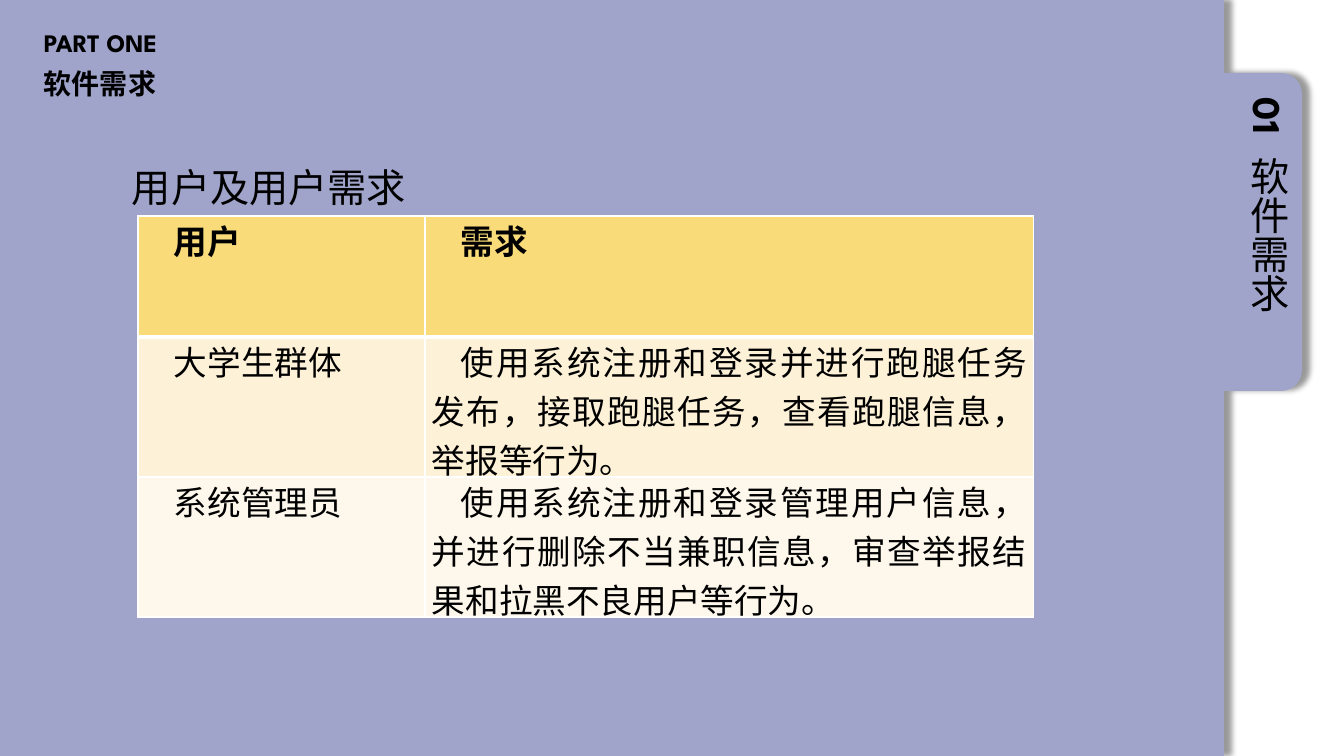
from math import cos, radians, sin

from lxml import etree
from pptx import Presentation
from pptx.dml.color import RGBColor
from pptx.enum.text import PP_ALIGN
from pptx.oxml import parse_xml
from pptx.oxml.ns import nsdecls, qn
from pptx.util import Pt

PX = 914400 / 100.8
JUSTIFY = PP_ALIGN.JUSTIFY
CJK, LATIN = "Noto Sans CJK SC", "League Spartan"


def px(*lengths):
    return [round(length * PX) for length in lengths]


def write(paragraph, text, font, **formats):
    """Add a black run whose East Asian typeface matches its Latin one."""
    run = paragraph.add_run()
    run.text = text
    run.font.name = font
    run.font.color.rgb = RGBColor.from_string("000000")
    for key, value in formats.items():
        setattr(run.font, key, value)
    etree.SubElement(run.font._element, qn("a:ea"), typeface=font)


prs = Presentation()
prs.slide_width, prs.slide_height = px(1344, 756)
slide = prs.slides.add_slide(prs.slide_layouts[6])
shapes = slide.shapes

# Page panel with a rounded tab on its right side
PAGE_RIGHT, TAB_RIGHT, TAB_TOP, TAB_BOTTOM, RADIUS = 1224, 1302, 73, 391, 21
outline = [(PAGE_RIGHT, 0), (PAGE_RIGHT, TAB_TOP)]
for centre_y, start in ((TAB_TOP + RADIUS, -90), (TAB_BOTTOM - RADIUS, 0)):
    for angle in range(start, start + 91, 9):
        outline.append((TAB_RIGHT - RADIUS + RADIUS * cos(radians(angle)),
                        centre_y + RADIUS * sin(radians(angle))))
outline += [(PAGE_RIGHT, TAB_BOTTOM), (PAGE_RIGHT, 756), (0, 756)]
builder = shapes.build_freeform(0, 0, scale=1.0)
builder.add_line_segments([px(*point) for point in outline], close=True)
panel = builder.convert_to_shape()
panel.fill.solid()
panel.fill.fore_color.rgb = RGBColor.from_string("A0A4CA")
panel.line.fill.background()
panel._element.spPr.append(parse_xml(
    f'<a:effectLst {nsdecls("a")}>'
    f'<a:outerShdw blurRad="{Pt(4)}" dist="{Pt(6)}" dir="0" algn="l" rotWithShape="0">'
    '<a:srgbClr val="000000"><a:alpha val="40000"/></a:srgbClr>'
    '</a:outerShdw></a:effectLst>'))

# Tab label, page heading and table title
labels = [
    ("软件需求", (1226, 147, 66, 240), CJK, 28, False, True, 0.9),
    ("01", (1226, 88, 66, 59), LATIN, 28, True, True, 0.9),
    ("PART ONE", (34, 26, 434, 39), LATIN, 18, True, False, 0.9),
    ("软件需求", (34, 65, 434, 39), CJK, 20, True, False, 0.9),
    ("用户及用户需求", (122, 158, 347, 57), CJK, 28, False, False, 1.0),
]
for text, place, font, size, bold, vertical, spacing in labels:
    frame = shapes.add_textbox(*px(*place)).text_frame
    frame.word_wrap = True
    if vertical:
        frame._txBody.bodyPr.set("vert", "eaVert")
    paragraph = frame.paragraphs[0]
    paragraph.line_spacing = spacing
    write(paragraph, text, font, size=Pt(size), bold=bold)

# Users and what they need
needs = [
    ("用户", "需求"),
    ("大学生群体", "使用系统注册和登录并进行跑腿任务发布，接取跑腿任务，查看跑腿信息，举报等行为。"),
    ("系统管理员", "使用系统注册和登录管理用户信息，并进行删除不当兼职信息，审查举报结果和拉黑不良用户等行为。"),
]
row_fills = ["F9DB7A", "FDF1D7", "FEF8EC"]
row_heights = px(121, 140, 140)
column_widths = px(287, 609)
table = shapes.add_table(3, 2, *px(138, 216, 896, 401)).table
table.horz_banding = False
for column, width in zip(table.columns, column_widths):
    column.width = width
cell_margins = dict(zip(("margin_left", "margin_right", "margin_top", "margin_bottom"),
                        px(7, 7, 0, 0)))
first_line_indent, = px(29)

for r, texts in enumerate(needs):
    table.rows[r].height = row_heights[r]
    borders = {"L": 1, "R": 1, "T": 3 if r == 1 else 1, "B": 3 if r == 0 else 1}
    for c, text in enumerate(texts):
        cell = table.cell(r, c)
        for key, value in cell_margins.items():
            setattr(cell, key, value)
        paragraph = cell.text_frame.paragraphs[0]
        paragraph.alignment = JUSTIFY
        pPr = paragraph._p.get_or_add_pPr()
        pPr.set("marL", "0")
        pPr.set("indent", str(first_line_indent))
        write(paragraph, text, CJK, size=Pt(24), bold=r == 0)
        tcPr = cell._tc.get_or_add_tcPr()
        for side, weight in borders.items():
            tcPr.append(parse_xml(
                f'<a:ln{side} {nsdecls("a")} w="{Pt(weight)}"><a:solidFill>'
                f'<a:srgbClr val="FFFFFF"/></a:solidFill></a:ln{side}>'))
        cell.fill.solid()
        cell.fill.fore_color.rgb = RGBColor.from_string(row_fills[r])

prs.save("out.pptx")
